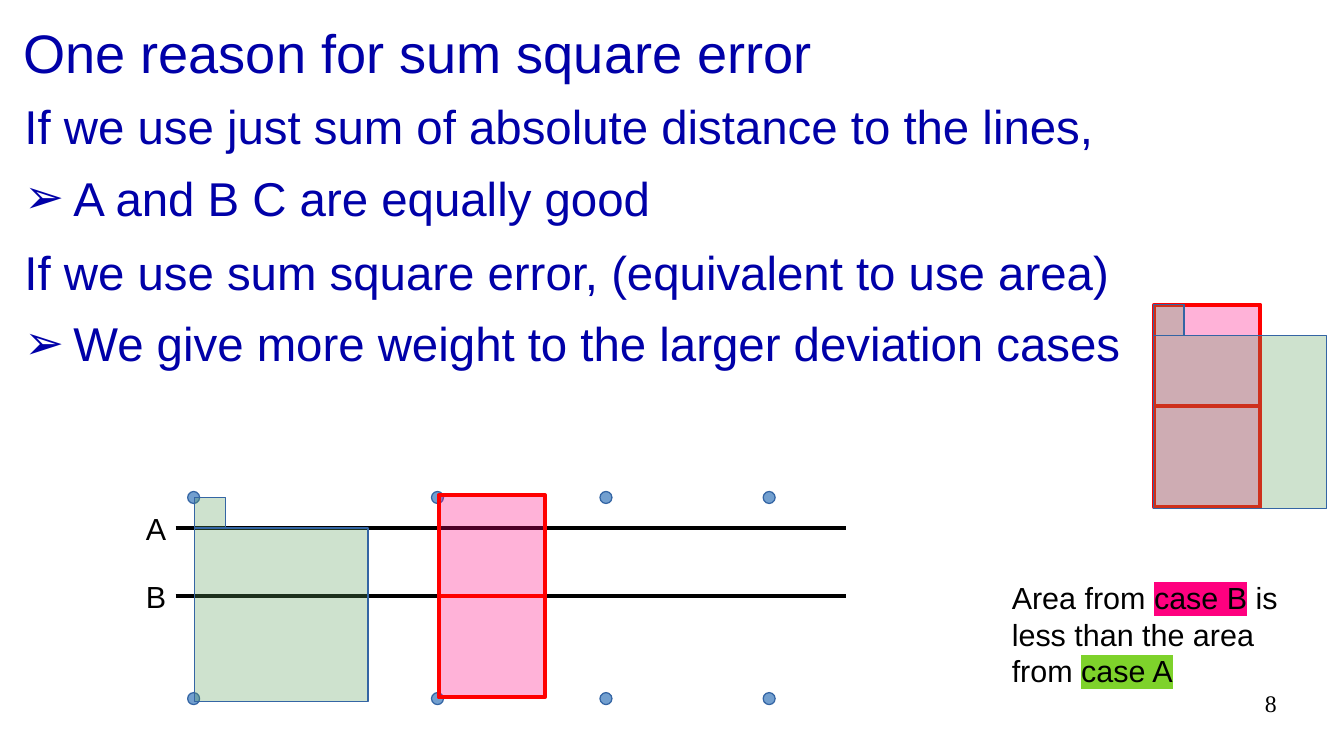
from lxml import etree
from pptx import Presentation
from pptx.dml.color import RGBColor
from pptx.enum.shapes import MSO_CONNECTOR, MSO_SHAPE
from pptx.enum.text import MSO_ANCHOR, MSO_AUTO_SIZE, PP_ALIGN
from pptx.oxml.ns import qn
from pptx.util import Cm, Pt

STRAIGHT = MSO_CONNECTOR.STRAIGHT
OVAL, RECTANGLE = MSO_SHAPE.OVAL, MSO_SHAPE.RECTANGLE
TOP, MIDDLE = MSO_ANCHOR.TOP, MSO_ANCHOR.MIDDLE
NO_AUTOFIT = MSO_AUTO_SIZE.NONE
LEFT, RIGHT = PP_ALIGN.LEFT, PP_ALIGN.RIGHT

NAVY = RGBColor(0x00, 0x00, 0xA8)
BLACK = RGBColor(0x00, 0x00, 0x00)
DOT_BLUE = RGBColor(0x72, 0x9F, 0xCF)
EDGE_BLUE = RGBColor(0x34, 0x65, 0xA4)
GREEN = RGBColor(0x5F, 0x9F, 0x5F)
PINK = RGBColor(0xFF, 0x00, 0x7F)
RED = RGBColor(0xFF, 0x00, 0x00)
LIME = RGBColor(0x7E, 0xD2, 0x2B)

DOT_SIZE = 0.25
DOT_LEFTS = (3.91, 8.99, 12.5, 15.9)
DOT_TOPS = (10.24, 14.43)
CASE_LINES = {"A": 11.0, "B": 12.42}
SMALL_SIDE, LARGE_SIDE = 0.64, 3.61
PINK_WIDTH, PINK_HEIGHT = 2.21, 2.11

BODY_LINES = (
    ("If we use just sum of absolute distance to the lines,", False),
    ("A and B C are equally good", True),
    ("If we use sum square error, (equivalent to use area)", False),
    ("We give more weight to the larger deviation cases", True),
)
CAPTION_RUNS = (
    ("Area from ", None),
    ("case B", PINK),
    (" is less than the area from ", None),
    ("case A", LIME),
)


def place(shape, left, top, width, height):
    shape.left, shape.top = Cm(left), Cm(top)
    shape.width, shape.height = Cm(width), Cm(height)


def format_runs(paragraph, size, color, name="Arial"):
    for run in paragraph.runs:
        run.font.size = Pt(size)
        run.font.name = name
        run.font.color.rgb = color


def prepare_frame(text_frame, anchor=TOP, inset=0.0):
    text_frame.word_wrap = True
    text_frame.auto_size = NO_AUTOFIT
    text_frame.vertical_anchor = anchor
    text_frame.margin_left = text_frame.margin_right = Cm(inset)
    text_frame.margin_top = text_frame.margin_bottom = Cm(inset / 2)


def set_bullet(paragraph, bulleted):
    properties = paragraph._p.get_or_add_pPr()
    indent = Cm(1.02) if bulleted else 0
    properties.set("marL", str(indent))
    properties.set("indent", str(-indent))
    if bulleted:
        color = etree.SubElement(properties, qn("a:buClr"))
        etree.SubElement(color, qn("a:srgbClr"), val=str(NAVY))
        etree.SubElement(properties, qn("a:buChar"), char="➢")
    else:
        etree.SubElement(properties, qn("a:buNone"))


def fill_title(title):
    place(title, 0.48, 0.38, 27.05, 1.4)
    prepare_frame(title.text_frame, MIDDLE)
    title.text_frame.text = "One reason for sum square error"
    paragraph = title.text_frame.paragraphs[0]
    paragraph.alignment = LEFT
    format_runs(paragraph, 32, NAVY)


def fill_body(body):
    place(body, 0.51, 2.03, 27.33, 13.46)
    text_frame = body.text_frame
    prepare_frame(text_frame)
    text_frame.text = "\n".join(text for text, _ in BODY_LINES)
    for index, (_, bulleted) in enumerate(BODY_LINES):
        paragraph = text_frame.paragraphs[index]
        paragraph.level = 1 if bulleted else 0
        set_bullet(paragraph, bulleted)
        paragraph.space_before = Pt(8.4 if bulleted else 10.5 if index else 0)
        format_runs(paragraph, 28, NAVY)


def add_text(slide, text, left, top, width, height, inset=0.25):
    box = slide.shapes.add_textbox(Cm(left), Cm(top), Cm(width), Cm(height))
    prepare_frame(box.text_frame, inset=inset)
    box.text_frame.text = text
    paragraph = box.text_frame.paragraphs[0]
    format_runs(paragraph, 18, BLACK)
    return paragraph


def add_figure(slide, kind, left, top, width, height, fill, edge,
               edge_width=0, opacity=100):
    shape = slide.shapes.add_shape(kind, Cm(left), Cm(top), Cm(width), Cm(height))
    shape.shadow.inherit = False
    shape.fill.solid()
    shape.fill.fore_color.rgb = fill
    shape.line.color.rgb = edge
    shape.line.width = Pt(edge_width)
    if opacity < 100:
        color = shape._element.spPr.find(qn("a:solidFill")).find(qn("a:srgbClr"))
        etree.SubElement(color, qn("a:alpha"), val=str(opacity * 1000))


def add_green_areas(slide, left, top):
    for offset, side in ((0, SMALL_SIDE), (SMALL_SIDE, LARGE_SIDE)):
        add_figure(slide, RECTANGLE, left, top + offset, side, side,
                   GREEN, EDGE_BLUE, opacity=30)


def add_pink_areas(slide, left, top):
    for offset in (PINK_HEIGHT, 0):
        add_figure(slide, RECTANGLE, left, top + offset, PINK_WIDTH, PINK_HEIGHT,
                   PINK, RED, 2.3, opacity=30)


def add_case_line(slide, y):
    line = slide.shapes.add_connector(STRAIGHT, Cm(3.66), Cm(y), Cm(17.63), Cm(y))
    line.line.color.rgb = BLACK
    line.line.width = Pt(0)
    etree.SubElement(line._element.spPr, qn("a:effectLst"))


def add_caption(slide):
    paragraph = add_text(slide, "", 20.83, 11.94, 6.86, 2.87)
    for text, _ in CAPTION_RUNS:
        paragraph.add_run().text = text
    format_runs(paragraph, 18, BLACK)
    for run, (_, color) in zip(paragraph.runs, CAPTION_RUNS):
        if color is not None:
            highlight = etree.Element(qn("a:highlight"))
            etree.SubElement(highlight, qn("a:srgbClr"), val=str(color))
            run.font._element.find(qn("a:solidFill")).addnext(highlight)


def main():
    presentation = Presentation()
    presentation.slide_width, presentation.slide_height = Cm(28), Cm(15.75)
    slide = presentation.slides.add_slide(presentation.slide_layouts[1])

    # Title and list
    fill_title(slide.shapes.title)
    fill_body(slide.placeholders[1])

    # Data points
    for left in DOT_LEFTS:
        for top in DOT_TOPS:
            add_figure(slide, OVAL, left, top, DOT_SIZE, DOT_SIZE, DOT_BLUE, EDGE_BLUE)

    # Candidate lines with their labels
    for label, y in CASE_LINES.items():
        add_case_line(slide, y)
        add_text(slide, label, 2.79, y - 0.5, 2.03, 0.97)

    # Squared errors at the points
    add_green_areas(slide, 4.06, CASE_LINES["A"] - SMALL_SIDE)
    add_pink_areas(slide, 9.14, CASE_LINES["B"] - PINK_HEIGHT)

    # Areas laid over each other for comparison
    add_pink_areas(slide, 24.05, 6.35)
    add_green_areas(slide, 24.03, 6.35)

    # Caption and slide number
    add_caption(slide)
    number = add_text(slide, "8", 20.07, 14.35, 6.53, 1.09, inset=0)
    number.alignment = RIGHT
    format_runs(number, 14, BLACK, "Times New Roman")

    presentation.save("out.pptx")


if __name__ == "__main__":
    main()
